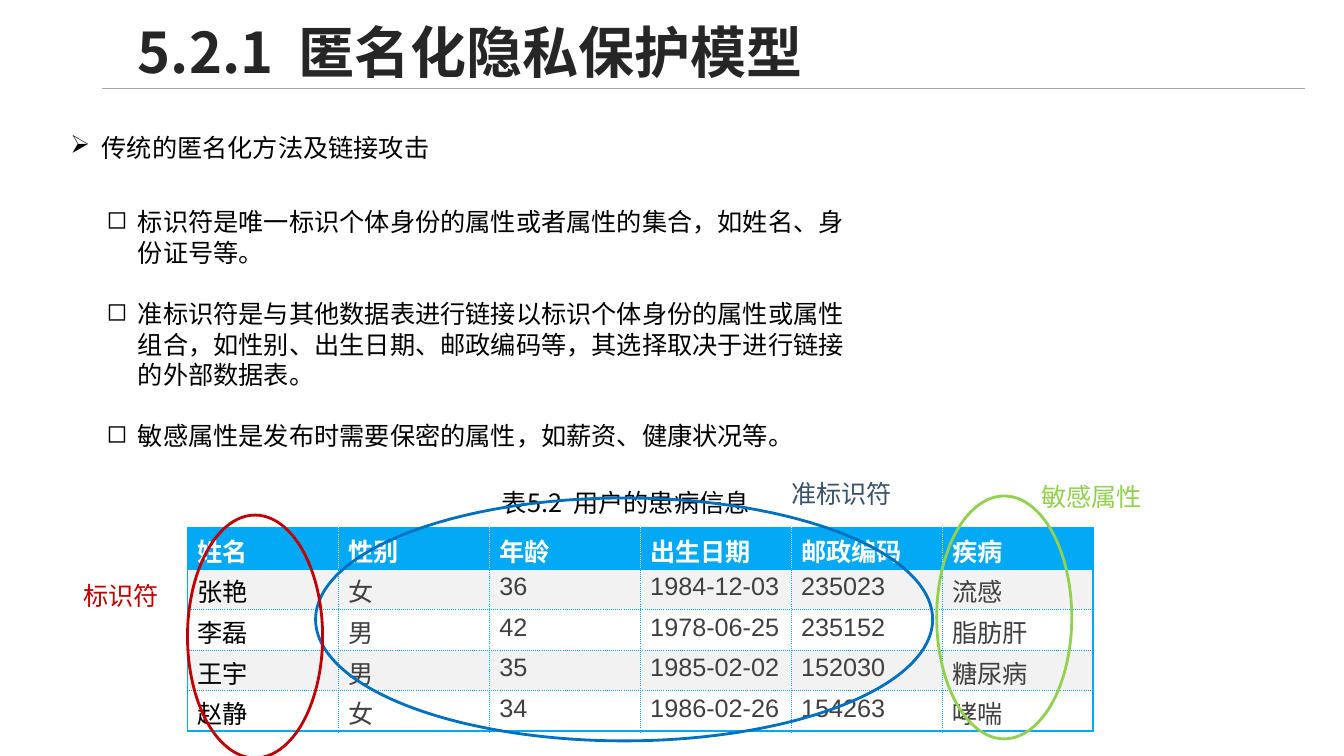
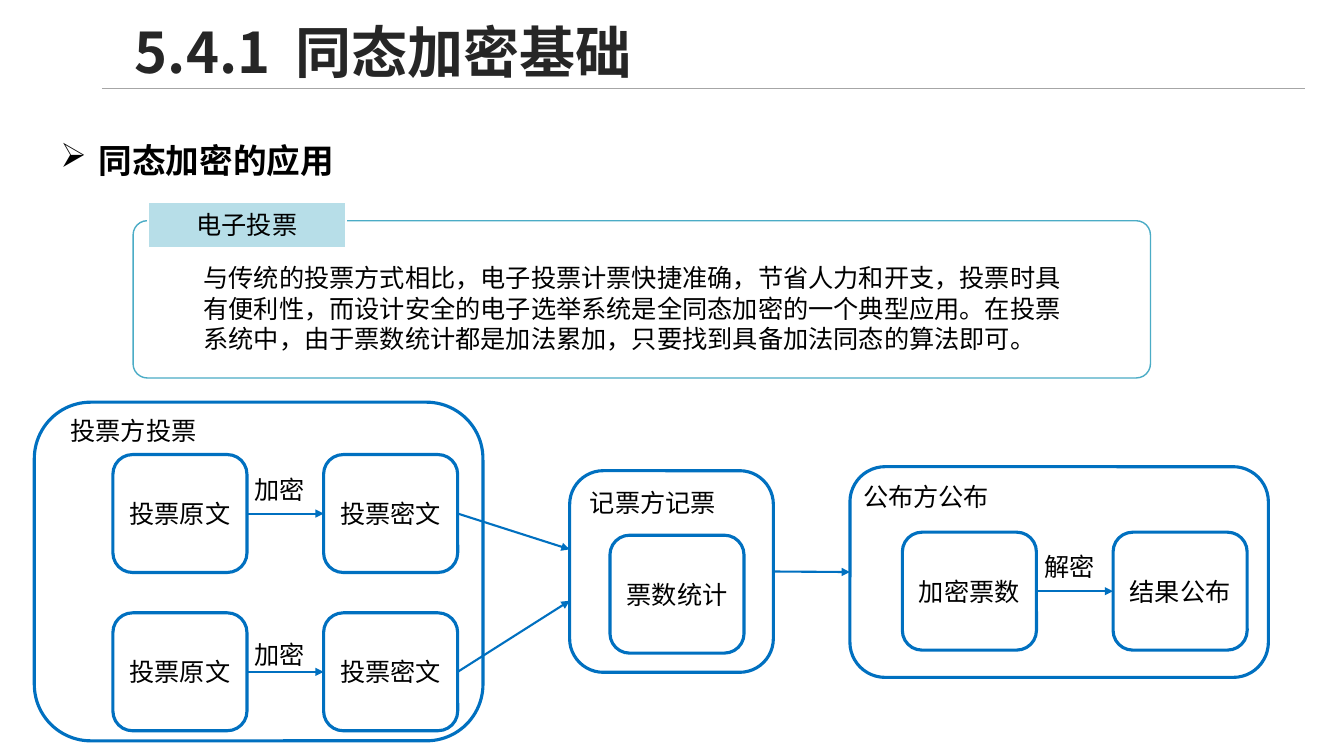
from lxml import etree
from pptx import Presentation
from pptx.dml.color import RGBColor
from pptx.enum.shapes import MSO_CONNECTOR, MSO_SHAPE
from pptx.enum.text import MSO_ANCHOR, PP_ALIGN
from pptx.oxml.ns import qn
from pptx.util import Emu, Pt

PX = 9144  # 100 px to the inch
STRAIGHT = MSO_CONNECTOR.STRAIGHT
RECT, ROUNDED, OVAL = MSO_SHAPE.RECTANGLE, MSO_SHAPE.ROUNDED_RECTANGLE, MSO_SHAPE.OVAL
TOP, MIDDLE = MSO_ANCHOR.TOP, MSO_ANCHOR.MIDDLE
LEFT, CENTER = PP_ALIGN.LEFT, PP_ALIGN.CENTER
LEFT_SIDE, RIGHT_SIDE = 1, 3

THEME = {
    "font": "Noto Sans CJK SC", "table_font": "Arial",
    "title": "262626", "text": "000000", "cell": "404040", "white": "FFFFFF",
    "rule": "A6A6A6", "blue": "0070C0", "red": "C00000", "green": "92D050",
    "slate": "38526E", "table": "03A9F5", "band": "F2F2F2",
    "frame": "4BACC6", "tag": "B7DEE8",
    "title_size": 40, "heading_size": 24, "body_size": 18,
}
BODY = {"size": THEME["body_size"], "color": THEME["text"], "font": THEME["font"],
        "bold": False, "align": LEFT, "anchor": TOP, "leading": Pt(21.8),
        "after": 0, "bullet": None, "hang": 0}
TITLE = BODY | {"size": THEME["title_size"], "color": THEME["title"], "bold": True,
                "anchor": MIDDLE, "leading": 0.9}
TOPIC = BODY | {"bullet": "➢", "hang": 31}
HEADING = TOPIC | {"size": THEME["heading_size"], "bold": True, "leading": Pt(45), "hang": 38}
POINTS = BODY | {"bullet": "◻", "hang": 31, "after": 21.8}
CAPTION = BODY | {"align": CENTER}
NODE = CAPTION | {"anchor": MIDDLE}
CELL = BODY | {"font": THEME["table_font"], "leading": 1.0}

# Slide 1: anonymisation model
ANON_TITLE = ("5.2.1 匿名化隐私保护模型", (127, 15, 1161, 79))
ANON_TOPIC = "传统的匿名化方法及链接攻击"
ANON_POINTS = [
    "标识符是唯一标识个体身份的属性或者属性的集合，如姓名、身份证号等。",
    "准标识符是与其他数据表进行链接以标识个体身份的属性或属性组合，"
    "如性别、出生日期、邮政编码等，其选择取决于进行链接的外部数据表。",
    "敏感属性是发布时需要保密的属性，如薪资、健康状况等。",
]
PATIENT_CAPTION = "表5.2 用户的患病信息"
PATIENTS = [
    ("姓名", "性别", "年龄", "出生日期", "邮政编码", "疾病"),
    ("张艳", "女", "36", "1984-12-03", "235023", "流感"),
    ("李磊", "男", "42", "1978-06-25", "235152", "脂肪肝"),
    ("王宇", "男", "35", "1985-02-02", "152030", "糖尿病"),
    ("赵静", "女", "34", "1986-02-26", "154263", "哮喘"),
]
# label, label box, label colour, ring box, ring colour
ATTRIBUTE_GROUPS = [
    ("敏感属性", (1023, 472, 142, 40), "green", (929, 492, 134, 241), "green"),
    ("准标识符", (775, 469, 142, 40), "slate", (313, 494, 612, 241), "blue"),
    ("标识符", (73, 571, 102, 40), "red", (186, 511, 134, 241), "red"),
]

# Slide 2: electronic voting
VOTE_TITLE = ("5.4.1 同态加密基础", (124, 15, 1161, 79))
VOTE_HEADING = "同态加密的应用"
VOTE_TAG = "电子投票"
VOTE_TEXT = ("与传统的投票方式相比，电子投票计票快捷准确，节省人力和开支，投票时具有便利性，"
             "而设计安全的电子选举系统是全同态加密的一个典型应用。在投票系统中，"
             "由于票数统计都是加法累加，只要找到具备加法同态的算法即可。")
PARTIES = [  # name, panel box, name position
    ("投票方投票", (34, 399, 445, 336), (42, 407)),
    ("记票方记票", (565, 467, 202, 200), (557, 478)),
    ("公布方公布", (843, 463, 415, 209), (828, 472)),
]
STEPS = [  # from, action, to, left, top, action top
    ("投票原文", "加密", "投票密文", 112, 451, 465),
    ("投票原文", "加密", "投票密文", 112, 608, 629),
    ("加密票数", "解密", "结果公布", 895, 528, 542),
]
TALLY = ("票数统计", 605, 531)
BALLOT_ENTRIES = [(565, 545), (565, 596)]
NODE_W, NODE_H, STEP_PITCH = 133, 117, 209


def emu(lengths):
    return [Emu(length * PX) for length in lengths]


def rgb(name):
    return RGBColor.from_string(THEME[name])


def add_run(paragraph, text, style):
    run = paragraph.add_run()
    run.text = text
    for key, value in {"size": Pt(style["size"]), "bold": style["bold"],
                       "name": style["font"]}.items():
        setattr(run.font, key, value)
    run.font.color.rgb = RGBColor.from_string(style["color"])
    props = run.font._element
    etree.SubElement(props, qn("a:ea"), typeface=THEME["font"])
    if text == " ":  # widen the gap between number and name
        props.set("spc", str(style["size"] * 22))


def write(frame, texts, style):
    frame.word_wrap = True
    frame.vertical_anchor = style["anchor"]
    for index, text in enumerate(texts):
        paragraph = frame.paragraphs[0] if index == 0 else frame.add_paragraph()
        for key, value in {"alignment": style["align"], "line_spacing": style["leading"],
                           "space_after": Pt(style["after"])}.items():
            setattr(paragraph, key, value)
        if style["bullet"]:
            props = paragraph._p.get_or_add_pPr()
            props.set("marL", str(style["hang"] * PX))
            props.set("indent", str(-style["hang"] * PX))
            etree.SubElement(props, qn("a:buChar"), char=style["bullet"])
        for part in text.partition(" "):
            if part:
                add_run(paragraph, part, style)


def add_text(slide, box, texts, style):
    write(slide.shapes.add_textbox(*emu(box)).text_frame, texts, style)


def add_box(slide, kind, box, line, width, fill=None, text=None):
    shape = slide.shapes.add_shape(kind, *emu(box))
    shape.shadow.inherit = False
    if fill:
        shape.fill.solid()
        shape.fill.fore_color.rgb = rgb(fill)
    else:
        shape.fill.background()
    shape.line.color.rgb = rgb(line)
    shape.line.width = Pt(width)
    if text:
        write(shape.text_frame, [text], NODE)
    return shape


def add_line(slide, start, end, color, width):
    line = slide.shapes.add_connector(STRAIGHT, *emu(start + end))
    line.line.color.rgb = rgb(color)
    line.line.width = Pt(width)
    etree.SubElement(line._element.spPr, qn("a:effectLst"))
    return line


def add_arrow(slide, source, target):
    """Arrow from the right side of a shape to another shape or to a point."""
    to_point = isinstance(target, tuple)
    arrow = add_line(slide, (0, 0), target if to_point else (0, 0), "blue", 1.5)
    arrow.begin_connect(source, RIGHT_SIDE)
    if not to_point:
        arrow.end_connect(target, LEFT_SIDE)
    etree.SubElement(arrow.line._get_or_add_ln(), qn("a:tailEnd"), type="triangle")


def add_slide(deck, title):
    slide = deck.slides.add_slide(deck.slide_layouts[6])
    add_line(slide, (101, 88), (1294, 88), "rule", 1)
    text, box = title
    add_text(slide, box, [text], TITLE)
    return slide


def set_borders(cell, borders):
    """Borders are (colour, solid) for left, right, top, bottom."""
    props = cell._tc.get_or_add_tcPr()
    for index, (side, (color, solid)) in enumerate(zip("LRTB", borders)):
        edge = etree.Element(qn(f"a:ln{side}"), w=str(Pt(1.5 if solid else 0.25)))
        fill = etree.SubElement(edge, qn("a:solidFill"))
        etree.SubElement(fill, qn("a:srgbClr"), val=THEME[color])
        etree.SubElement(edge, qn("a:prstDash"), val="solid" if solid else "dot")
        props.insert(index, edge)


def add_patient_table(slide):
    rows, cols = len(PATIENTS), len(PATIENTS[0])
    table = slide.shapes.add_table(rows, cols, *emu((186, 524, 898, 201))).table
    table.horz_banding = False
    for row in table.rows:
        row.height = Emu(201 * PX // rows)
    margins = {"margin_left": 10, "margin_right": 10, "margin_top": 4, "margin_bottom": 0}
    for r, record in enumerate(PATIENTS):
        header = r == 0
        inner = ("white" if header else "table", False)
        outer = ("table", True)
        fill = "table" if header else "band" if r % 2 else "white"
        for c, value in enumerate(record):
            cell = table.cell(r, c)
            for key, length in margins.items():
                setattr(cell, key, Emu(length * PX))
            cell.fill.solid()
            cell.fill.fore_color.rgb = rgb(fill)
            color = "white" if header else "cell" if c else "text"
            write(cell.text_frame, [value], CELL | {"color": THEME[color], "bold": header})
            set_borders(cell, [outer if c == 0 else inner,
                               outer if c == cols - 1 else inner,
                               outer if r <= 1 else inner,
                               outer if r in (0, rows - 1) else inner])


def build_anonymity(deck):
    slide = add_slide(deck, ANON_TITLE)
    add_text(slide, (60, 126, 833, 40), [ANON_TOPIC], TOPIC)
    add_text(slide, (96, 200, 762, 252), ANON_POINTS, POINTS)
    add_patient_table(slide)
    add_text(slide, (488, 478, 335, 40), [PATIENT_CAPTION], BODY)
    for label, label_box, label_color, ring_box, ring_color in ATTRIBUTE_GROUPS:
        add_box(slide, OVAL, ring_box, ring_color, 2)
        add_text(slide, label_box, [label], BODY | {"color": THEME[label_color]})


def build_voting(deck):
    slide = add_slide(deck, VOTE_TITLE)
    add_text(slide, (50, 111, 482, 64), [VOTE_HEADING], HEADING)
    frame = add_box(slide, ROUNDED, (132, 219, 1009, 156), "frame", 1, "white")
    frame.adjustments[0] = 0.09
    add_text(slide, (192, 255, 876, 101), [VOTE_TEXT], BODY | {"anchor": MIDDLE})
    add_box(slide, RECT, (147, 200, 196, 46), "white", 1.5, "tag", VOTE_TAG)

    panels = []
    for name, box, corner in PARTIES:
        panels.append(add_box(slide, ROUNDED, box, "blue", 2.25, "white"))
        add_text(slide, corner + (181, 40), [name], CAPTION)

    def add_node(text, left, top):
        return add_box(slide, ROUNDED, (left, top, NODE_W, NODE_H), "blue", 2.25, "white", text)

    results = []
    for source, action, target, left, top, action_top in STEPS:
        before = add_node(source, left, top)
        after = add_node(target, left + STEP_PITCH, top)
        add_arrow(slide, before, after)
        add_text(slide, (left + 125, action_top, 81, 40), [action], CAPTION)
        results.append(after)
    add_node(*TALLY)
    for ballot, entry in zip(results, BALLOT_ENTRIES):
        add_arrow(slide, ballot, entry)
    add_arrow(slide, panels[1], panels[2])


def main():
    deck = Presentation()
    deck.slide_width, deck.slide_height = emu((1333, 750))
    build_anonymity(deck)
    build_voting(deck)
    deck.save("out.pptx")


if __name__ == "__main__":
    main()
